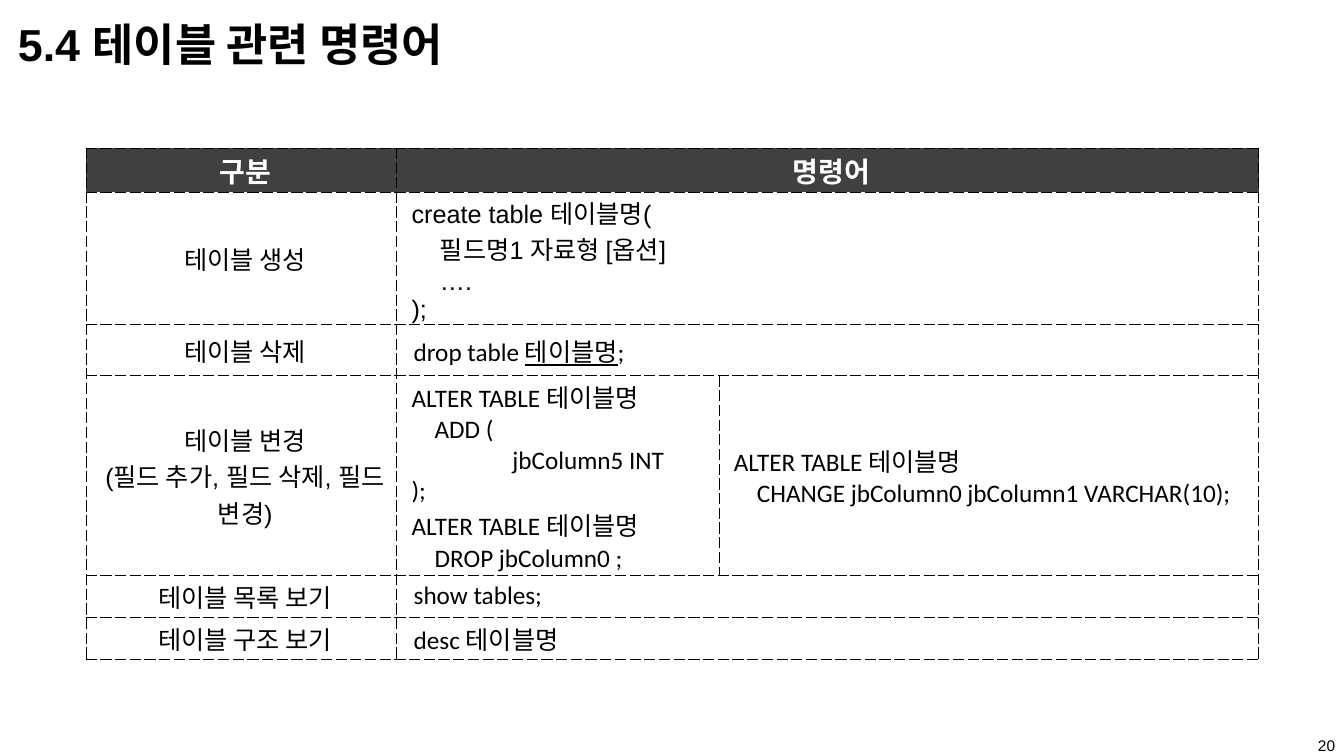
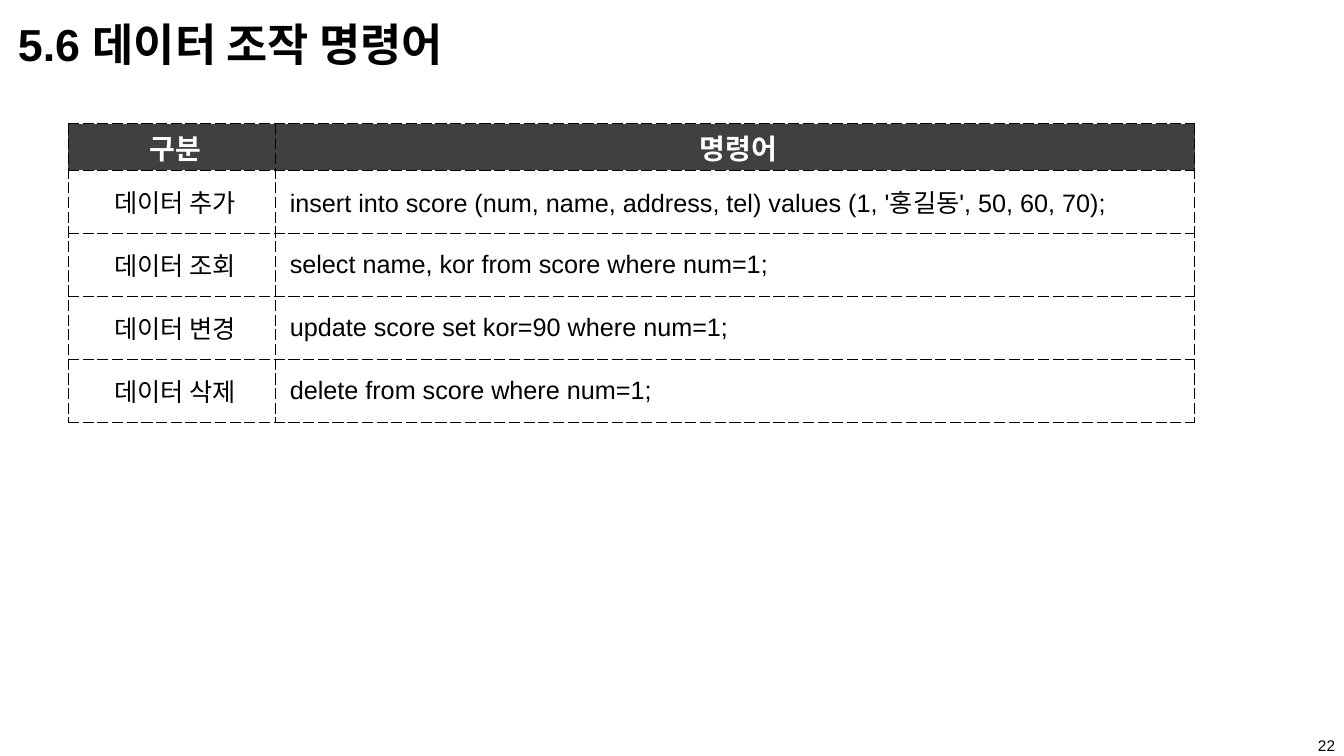
"""Builds two slides that list SQL commands for tables and for data."""
from dataclasses import dataclass

from lxml import etree
from pptx import Presentation
from pptx import util as u
from pptx.dml.color import RGBColor
from pptx.enum import text as t
from pptx.oxml import ns

PX = 9525
SANS, CODE = "Arial", "Calibri"
BLACK = RGBColor(0x00, 0x00, 0x00)
WHITE = RGBColor(0xFF, 0xFF, 0xFF)
HEADER_FILL = RGBColor(0x40, 0x40, 0x40)
LEFT, CENTER = t.PP_ALIGN.LEFT, t.PP_ALIGN.CENTER
RIGHT, JUSTIFY = t.PP_ALIGN.RIGHT, t.PP_ALIGN.JUSTIFY

TITLE_STYLE = {"size": u.Pt(32), "name": SANS, "bold": True}
NUMBER_STYLE = {"size": u.Pt(11), "name": SANS, "bold": False}
HEADER_STYLE = {"size": u.Pt(20), "name": SANS, "bold": True}
BODY_STYLE = {"size": u.Pt(18), "name": SANS, "bold": False}
CODE_STYLE = BODY_STYLE | {"name": CODE}
TITLE_FRAME = {"margin_left": 0, "margin_right": 0, "margin_top": 5 * PX,
               "margin_bottom": 5 * PX, "word_wrap": True,
               "auto_size": t.MSO_AUTO_SIZE.NONE, "vertical_anchor": t.MSO_ANCHOR.MIDDLE}
NUMBER_FRAME = {"word_wrap": True, "vertical_anchor": t.MSO_ANCHOR.MIDDLE}
CELL_FRAME = {"margin_left": 7 * PX, "margin_right": 7 * PX, "margin_top": 2 * PX,
              "margin_bottom": 2 * PX, "vertical_anchor": t.MSO_ANCHOR.MIDDLE}


@dataclass(frozen=True)
class Line:
    """One paragraph; every second piece is underlined."""
    pieces: tuple[str, ...]
    indent: int = 7


@dataclass(frozen=True)
class Entry:
    """The content of one table cell."""
    lines: tuple[Line, ...]
    style: dict
    align: t.PP_ALIGN = JUSTIFY


@dataclass(frozen=True)
class CommandSlide:
    """A titled slide with one command table."""
    title: str
    number: int
    left: int
    top: int
    columns: tuple[int, ...]
    heights: tuple[int, ...]
    rows: tuple[tuple[Entry, ...], ...]


def header(name: str) -> Entry:
    """Return a header cell."""
    return Entry((Line((name,)),), HEADER_STYLE, CENTER)


def label(*names: str) -> Entry:
    """Return a category cell."""
    return Entry(tuple(Line((name,)) for name in names), BODY_STYLE, CENTER)


def statement(*pieces: str) -> Entry:
    """Return a one-line command in the code font."""
    return Entry((Line(pieces, 9),), CODE_STYLE, LEFT)


def listing(style: dict, *lines: str | tuple[str, int]) -> Entry:
    """Return a command of several lines, some with an extra indent."""
    pairs = [(line, 0) if isinstance(line, str) else line for line in lines]
    return Entry(tuple(Line((text,), 7 + extra) for text, extra in pairs), style)


HEADINGS = (header("구분"), header("명령어"))
DATA_COMMANDS = (
    ("데이터 추가", "insert into score (num, name, address, tel) values (1, '홍길동', 50, 60, 70);"),
    ("데이터 조회", "select name, kor from score where num=1;"),
    ("데이터 변경", "update score set kor=90 where num=1;"),
    ("데이터 삭제", "delete from score where num=1;"),
)
SLIDES = (
    CommandSlide(
        "5.4 테이블 관련 명령어", 20, 82, 141, (296, 307, 514), (42, 126, 49, 190, 40, 40),
        (
            HEADINGS,
            (label("테이블 생성"),
             listing(BODY_STYLE, "create table 테이블명(", ("필드명1 자료형 [옵션]", 27),
                     ("….", 27), ");")),
            (label("테이블 삭제"), statement("drop table ", "테이블명", ";")),
            (label("테이블 변경", "(필드 추가, 필드 삭제, 필드 변경)"),
             listing(CODE_STYLE, "ALTER TABLE 테이블명", ("ADD (", 22), ("jbColumn5 INT", 96),
                     ");", "ALTER TABLE 테이블명", ("DROP jbColumn0 ;", 22)),
             listing(CODE_STYLE, "ALTER TABLE 테이블명",
                     ("CHANGE jbColumn0 jbColumn1 VARCHAR(10);", 22))),
            (label("테이블 목록 보기"), statement("show tables;")),
            (label("테이블 구조 보기"), statement("desc 테이블명")),
        )),
    CommandSlide(
        "5.6 데이터 조작 명령어", 22, 65, 118, (197, 876), (44, 60, 60, 60, 60),
        (HEADINGS, *((label(name), listing(BODY_STYLE, sql)) for name, sql in DATA_COMMANDS))),
)


def apply(target, values: dict) -> None:
    """Set each attribute named in values."""
    for name, value in values.items():
        setattr(target, name, value)


def write(paragraph, pieces: tuple[str, ...], style: dict, color: RGBColor,
          align: t.PP_ALIGN) -> None:
    """Fill a paragraph with formatted runs."""
    paragraph.alignment = align
    for index, piece in enumerate(pieces):
        run = paragraph.add_run()
        run.text = piece
        apply(run.font, style)
        run.font.color.rgb = color
        if index % 2:
            run.font.underline = True


def draw_borders(cell) -> None:
    """Give a cell thin dashed borders on all sides."""
    properties = cell._tc.get_or_add_tcPr()
    for side in ("lnL", "lnR", "lnT", "lnB"):
        border = etree.SubElement(properties, ns.qn(f"a:{side}"), w=str(u.Pt(0.75)))
        fill = etree.SubElement(border, ns.qn("a:solidFill"))
        etree.SubElement(fill, ns.qn("a:srgbClr"), val=str(BLACK))
        etree.SubElement(border, ns.qn("a:prstDash"), val="sysDash")


def fill_cell(cell, entry: Entry, color: RGBColor) -> None:
    """Write an entry into a cell."""
    frame = cell.text_frame
    for index, line in enumerate(entry.lines):
        paragraph = frame.add_paragraph() if index else frame.paragraphs[0]
        write(paragraph, line.pieces, entry.style, color, entry.align)
        properties = paragraph._p.get_or_add_pPr()
        properties.set("marL", str(line.indent * PX))
        properties.set("indent", "0")


def draw_table(slide, content: CommandSlide) -> None:
    """Draw the command table; a short row's last cell spans the rest."""
    last = len(content.columns) - 1
    table = slide.shapes.add_table(
        len(content.rows), last + 1, content.left * PX, content.top * PX,
        sum(content.columns) * PX, sum(content.heights) * PX).table
    table.horz_banding = False
    for column, width in zip(table.columns, content.columns):
        column.width = width * PX
    for number, (entries, height) in enumerate(zip(content.rows, content.heights)):
        table.rows[number].height = height * PX
        for cell in table.rows[number].cells:
            apply(cell, CELL_FRAME)
            draw_borders(cell)
            if number:
                cell.fill.background()
            else:
                cell.fill.solid()
                cell.fill.fore_color.rgb = HEADER_FILL
        for position, entry in enumerate(entries):
            fill_cell(table.cell(number, position), entry, BLACK if number else WHITE)
        if len(entries) <= last:
            table.cell(number, len(entries) - 1).merge(table.cell(number, last))


def draw_slide(deck, content: CommandSlide) -> None:
    """Add a slide with its title, page number and table."""
    slide = deck.slides.add_slide(deck.slide_layouts[5])
    title = slide.shapes.title
    apply(title, {"left": 17 * PX, "top": 15 * PX, "width": 1152 * PX, "height": 53 * PX})
    apply(title.text_frame, TITLE_FRAME)
    write(title.text_frame.paragraphs[0], (content.title,), TITLE_STYLE, BLACK, LEFT)
    page = slide.shapes.add_textbox(1227 * PX, 700 * PX, 54 * PX, 20 * PX).text_frame
    apply(page, NUMBER_FRAME)
    write(page.paragraphs[0], (str(content.number),), NUMBER_STYLE, BLACK, RIGHT)
    draw_table(slide, content)


def main() -> None:
    """Build and save the presentation."""
    deck = Presentation()
    apply(deck, {"slide_width": 1280 * PX, "slide_height": 720 * PX})
    for content in SLIDES:
        draw_slide(deck, content)
    deck.save("out.pptx")


if __name__ == "__main__":
    main()
